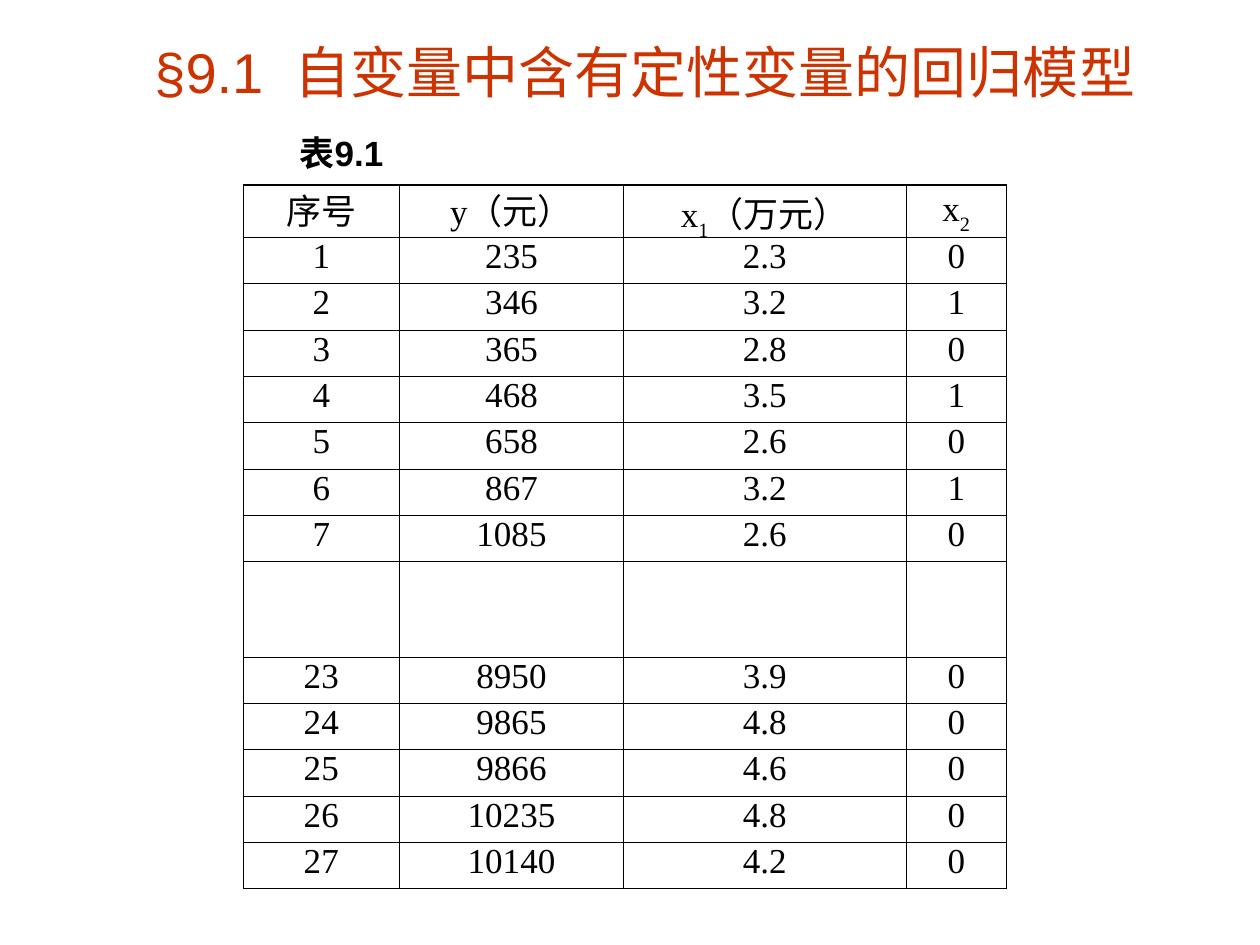
from dataclasses import dataclass

from pptx import Presentation
from pptx import util as u
from pptx.dml.color import RGBColor
from pptx.enum import text as t
from pptx.oxml import parse_xml
from pptx.oxml.ns import nsdecls

RED = RGBColor(0xCC, 0x33, 0x00)
BLACK = RGBColor(0, 0, 0)
WIDE, HIGH = u.Inches(10), u.Inches(7.5)

# Column widths and row heights in inches
COLS = (1.24, 1.78, 2.24, 0.8)
HEAD_ROW, GAP_ROW, BODY_ROW = 0.41, 0.76, 4.4 / 12
THIN, THICK = 0.34, 0.96

# Each header is a list of (text, is subscript) runs
HEAD = (
    [("序号", False)],
    [("y（元）", False)],
    [("x", False), ("1", True), ("（万元）", False)],
    [("x", False), ("2", True)],
)
# None stands for the empty row
DATA = (
    (1, 235, 2.3, 0),
    (2, 346, 3.2, 1),
    (3, 365, 2.8, 0),
    (4, 468, 3.5, 1),
    (5, 658, 2.6, 0),
    (6, 867, 3.2, 1),
    (7, 1085, 2.6, 0),
    None,
    (23, 8950, 3.9, 0),
    (24, 9865, 4.8, 0),
    (25, 9866, 4.6, 0),
    (26, 10235, 4.8, 0),
    (27, 10140, 4.2, 0),
)
CELL_FONT = {"name": "Times New Roman", "size": u.Pt(20), "bold": False}


@dataclass
class Label:
    """A line of text, placed in shares of the slide's size."""
    text: str
    left: float
    top: float
    width: float
    height: float
    color: RGBColor
    font: dict
    align: t.PP_ALIGN
    wrap: bool


LABELS = (
    Label("§9.1  自变量中含有定性变量的回归模型", 0.083, 0.028, 0.858, 0.095, RED,
          {"name": "Arial", "size": u.Pt(32)}, t.PP_ALIGN.CENTER, True),
    Label("表9.1", 0.228, 0.132, 0.093, 0.059, BLACK,
          {"name": "Arial", "size": u.Pt(20), "bold": True}, t.PP_ALIGN.LEFT, False),
)


def style(font, form: dict, color: RGBColor) -> None:
    for key, val in form.items():
        setattr(font, key, val)
    font.color.rgb = color


def draw_label(slide, item: Label) -> None:
    box = slide.shapes.add_textbox(
        int(item.left * WIDE), int(item.top * HIGH),
        int(item.width * WIDE), int(item.height * HIGH))
    frame = box.text_frame
    frame.word_wrap = item.wrap
    frame.vertical_anchor = t.MSO_ANCHOR.MIDDLE
    para = frame.paragraphs[0]
    para.alignment = item.align
    run = para.add_run()
    run.text = item.text
    style(run.font, item.font, item.color)


def edge(cell, sides: dict) -> None:
    """Draw the borders of a cell; sides maps a tag to a width in points."""
    props = cell._tc.get_or_add_tcPr()
    for spot, (tag, width) in enumerate(sides.items()):
        props.insert(spot, parse_xml(
            f'<a:{tag} {nsdecls("a")} w="{u.Pt(width)}"><a:solidFill>'
            f'<a:srgbClr val="{BLACK}"/></a:solidFill></a:{tag}>'))


def fill_cell(cell, runs: list) -> None:
    cell.fill.background()
    para = cell.text_frame.paragraphs[0]
    para.alignment = t.PP_ALIGN.CENTER
    para.line_spacing = 0.8
    for words, sub in runs:
        run = para.add_run()
        run.text = words
        style(run.font, CELL_FONT, BLACK)
        if sub:
            run._r.get_or_add_rPr().set("baseline", "-30000")


def draw_table(slide) -> None:
    blank = [[] for _ in COLS]
    rows = [HEAD] + [[[(str(val), False)] for val in row] if row else blank
                     for row in DATA]
    highs = [HEAD_ROW] + [BODY_ROW if row else GAP_ROW for row in DATA]
    table = slide.shapes.add_table(
        len(rows), len(COLS), u.Inches(1.93), u.Inches(1.47),
        u.Inches(sum(COLS)), u.Inches(sum(highs))).table
    table.first_row = table.horz_banding = False
    for col, width in zip(table.columns, COLS):
        col.width = u.Inches(width)
    last = len(rows) - 1
    for r, (row, high) in enumerate(zip(rows, highs)):
        table.rows[r].height = u.Inches(high)
        for c, runs in enumerate(row):
            cell = table.cell(r, c)
            fill_cell(cell, runs)
            edge(cell, {"lnL": THIN, "lnR": THIN,
                        "lnT": THICK if r == 0 else THIN,
                        "lnB": THICK if r == last else THIN})


def main() -> None:
    deck = Presentation()
    deck.slide_width, deck.slide_height = WIDE, HIGH
    slide = deck.slides.add_slide(deck.slide_layouts[6])
    # Title and table caption
    for item in LABELS:
        draw_label(slide, item)
    # Sample data
    draw_table(slide)
    deck.save("out.pptx")


if __name__ == "__main__":
    main()
